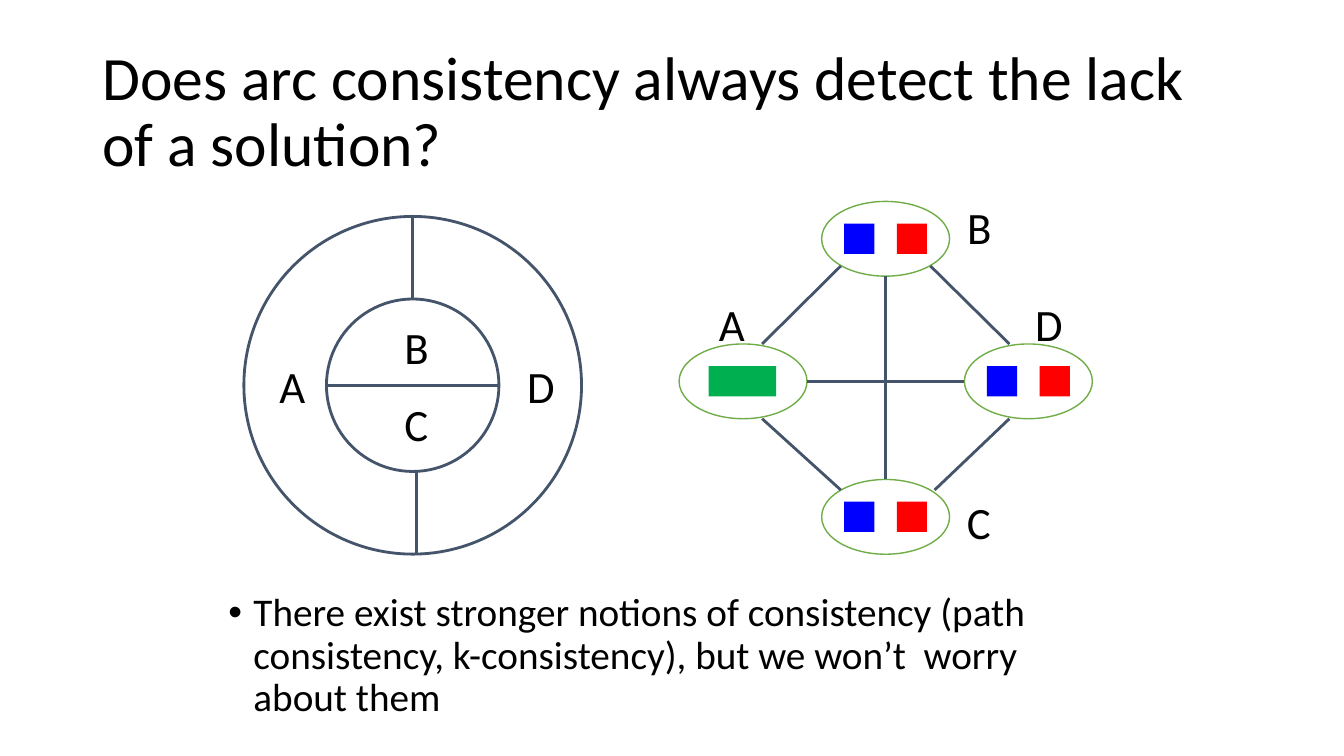
from dataclasses import dataclass

from lxml.etree import SubElement
from pptx import Presentation
from pptx.dml.color import RGBColor as Color
from pptx.enum.shapes import MSO_CONNECTOR as Connector, MSO_SHAPE as Preset
from pptx.enum.text import MSO_ANCHOR as Anchor, PP_ALIGN as Align
from pptx.oxml.ns import qn
from pptx.shapes.autoshape import Shape
from pptx.slide import Slide
from pptx.text.text import _Paragraph as Paragraph
from pptx.util import Pt


@dataclass(frozen=True)
class Theme:
    font: str = "Calibri"
    text: str = "000000"
    node_fill: str = "FFFFFF"
    node_line: str = "70AD47"
    edge: str = "44546A"
    green: str = "00B050"
    blue: str = "0000FF"
    red: str = "FF0000"
    title_size: float = 44
    body_size: float = 28
    label_size: float = 32
    edge_width: float = 2
    node_width: float = 1


@dataclass(frozen=True)
class Label:
    text: str
    x: float
    y: float


@dataclass(frozen=True)
class Tile:
    color: str
    offset: float
    width: float


@dataclass(frozen=True)
class Node:
    x: float
    y: float
    tiles: tuple[Tile, ...]


@dataclass(frozen=True)
class Edge:
    x1: float
    y1: float
    x2: float
    y2: float


THEME = Theme()
TILE_SIZE = 21.6
NODE_WIDTH, NODE_HEIGHT = 91.4, 53.4
MAP_X, MAP_Y = 294.8, 275.2
OUTER_RADIUS, INNER_RADIUS = 120.6, 61.6
LEFT_X, MIDDLE_X, RIGHT_X = 530.8, 632.6, 734.6
TOP_Y, MIDDLE_Y, BOTTOM_Y = 170.6, 272.4, 369.2
HALF_NODE = NODE_HEIGHT / 2

GREEN_ONLY = (Tile(THEME.green, -0.5, 48.4),)
BLUE_OR_RED = (
    Tile(THEME.blue, -18.8, TILE_SIZE),
    Tile(THEME.red, 18.8, TILE_SIZE),
)
NODES = (
    Node(LEFT_X, MIDDLE_Y, GREEN_ONLY),
    Node(RIGHT_X, MIDDLE_Y, BLUE_OR_RED),
    Node(MIDDLE_X, TOP_Y, BLUE_OR_RED),
    Node(MIDDLE_X, BOTTOM_Y, BLUE_OR_RED),
)
MAP_BORDERS = (
    Edge(MAP_X - INNER_RADIUS, MAP_Y, MAP_X + INNER_RADIUS, MAP_Y),
    Edge(MAP_X, MAP_Y - OUTER_RADIUS, MAP_X, MAP_Y - INNER_RADIUS),
    Edge(MAP_X + 2.6, MAP_Y + INNER_RADIUS, MAP_X + 2.6, MAP_Y + OUTER_RADIUS),
)
CONSTRAINTS = (
    Edge(MIDDLE_X, TOP_Y + HALF_NODE, MIDDLE_X, BOTTOM_Y - HALF_NODE),
    Edge(LEFT_X + NODE_WIDTH / 2, MIDDLE_Y, RIGHT_X - NODE_WIDTH / 2, MIDDLE_Y),
    Edge(MIDDLE_X - 32, 190, LEFT_X + 13.6, MIDDLE_Y - HALF_NODE),
    Edge(MIDDLE_X + 32, 190, RIGHT_X - 13.6, MIDDLE_Y - HALF_NODE),
    Edge(MIDDLE_X - 32, 350, LEFT_X + 13.6, MIDDLE_Y + HALF_NODE),
    Edge(MIDDLE_X + 35, 350, RIGHT_X - 13.6, MIDDLE_Y + HALF_NODE),
)
LABELS = (
    Label("A", 208.8, 275.8),
    Label("B", 297.6, 247.7),
    Label("C", 297.4, 303.1),
    Label("D", 385.9, 275.8),
    Label("A", 522.7, 231.1),
    Label("B", 699.5, 162),
    Label("C", 699.1, 373),
    Label("D", 748.8, 231.1),
)


def add_shape(page: Slide, preset: Preset, x: float, y: float,
              width: float, height: float, fill: str = "",
              line: str = "", line_width: float = 0) -> Shape:
    shape = page.shapes.add_shape(
        preset, Pt(x - width / 2), Pt(y - height / 2), Pt(width), Pt(height))
    shape.shadow.inherit = False
    if fill:
        shape.fill.solid()
        shape.fill.fore_color.rgb = Color.from_string(fill)
    else:
        shape.fill.background()
    if line:
        shape.line.color.rgb = Color.from_string(line)
        shape.line.width = Pt(line_width)
    else:
        shape.line.fill.background()
    return shape


def add_edge(page: Slide, edge: Edge) -> None:
    connector = page.shapes.add_connector(
        Connector.STRAIGHT, Pt(edge.x1), Pt(edge.y1), Pt(edge.x2), Pt(edge.y2))
    connector.line.color.rgb = Color.from_string(THEME.edge)
    connector.line.width = Pt(THEME.edge_width)
    SubElement(connector._element.spPr, qn("a:effectLst"))


def add_text(page: Slide, text: str, size: float, left: float, top: float,
             width: float, height: float, wrap: bool = True,
             anchor: Anchor = Anchor.TOP) -> Paragraph:
    box = page.shapes.add_textbox(Pt(left), Pt(top), Pt(width), Pt(height))
    frame = box.text_frame
    frame.word_wrap = wrap
    frame.vertical_anchor = anchor
    para = frame.paragraphs[0]
    span = para.add_run()
    span.text = text
    span.font.name = THEME.font
    span.font.size = Pt(size)
    span.font.color.rgb = Color.from_string(THEME.text)
    return para


def add_label(page: Slide, label: Label) -> None:
    width, height = 33, 46
    para = add_text(page, label.text, THEME.label_size, label.x - width / 2,
                    label.y - height / 2, width, height, wrap=False)
    para.alignment = Align.CENTER


def add_node(page: Slide, node: Node) -> None:
    add_shape(page, Preset.OVAL, node.x, node.y, NODE_WIDTH, NODE_HEIGHT,
              THEME.node_fill, THEME.node_line, THEME.node_width)
    for tile in node.tiles:
        add_shape(page, Preset.RECTANGLE, node.x + tile.offset, node.y,
                  tile.width, TILE_SIZE, tile.color)


def add_bullet(para: Paragraph) -> None:
    properties = para._p.get_or_add_pPr()
    properties.set("marL", str(Pt(18)))
    properties.set("indent", str(Pt(-18)))
    SubElement(properties, qn("a:buFont"), typeface="Arial")
    SubElement(properties, qn("a:buChar"), char="•")


def main() -> None:
    deck = Presentation()
    deck.slide_width, deck.slide_height = Pt(960), Pt(540)
    page = deck.slides.add_slide(deck.slide_layouts[6])

    title = add_text(
        page, "Does arc consistency always detect the lack of a solution?",
        THEME.title_size, 66, 28.8, 828, 104.4, anchor=Anchor.MIDDLE)
    title.line_spacing = 0.9
    body = add_text(
        page, "There exist stronger notions of consistency (path consistency, "
        "k-consistency), but we won’t  worry about them",
        THEME.body_size, 156, 420, 640, 114)
    body.line_spacing = 0.9
    body.space_before = Pt(10)
    add_bullet(body)

    for radius in (OUTER_RADIUS, INNER_RADIUS):
        add_shape(page, Preset.OVAL, MAP_X, MAP_Y, 2 * radius, 2 * radius,
                  line=THEME.edge, line_width=THEME.edge_width)
    for node in NODES:
        add_node(page, node)
    for edge in MAP_BORDERS + CONSTRAINTS:
        add_edge(page, edge)
    for label in LABELS:
        add_label(page, label)

    deck.save("out.pptx")


if __name__ == "__main__":
    main()
